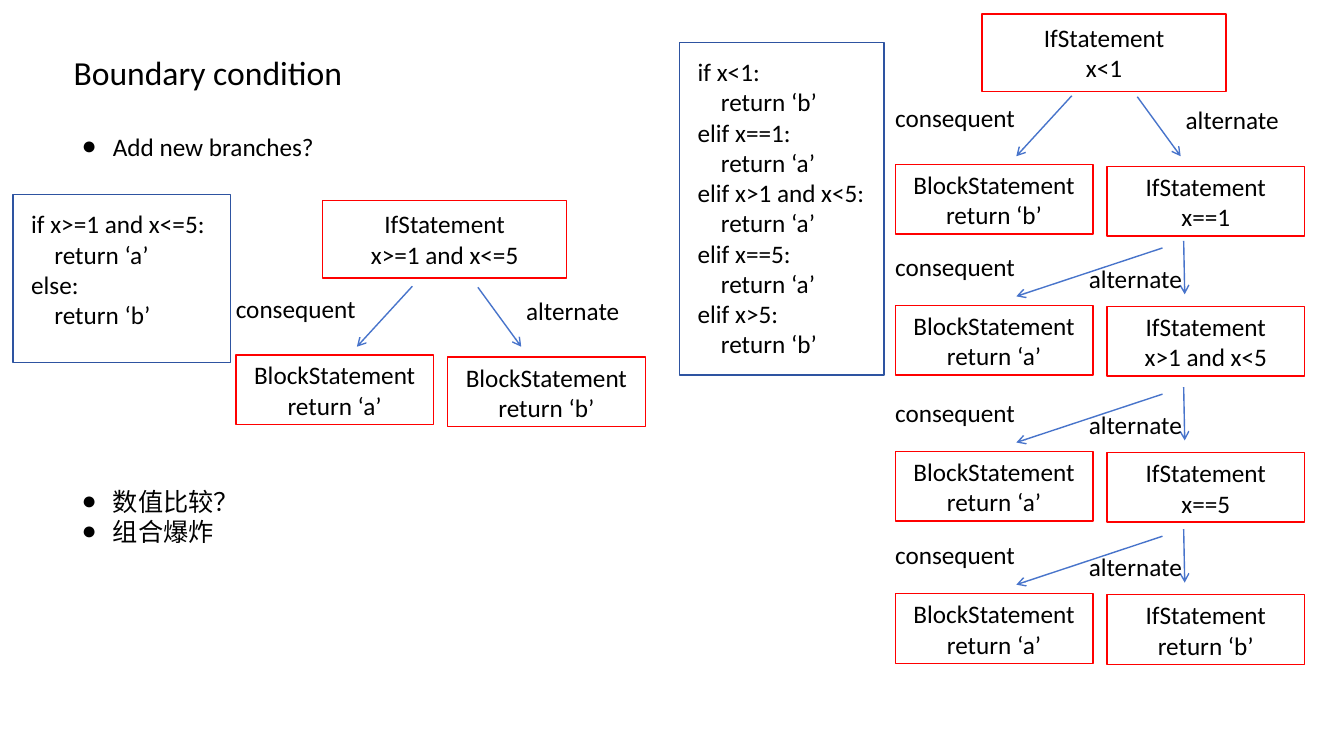
from dataclasses import dataclass
from typing import Any

from lxml import etree
from pptx import Presentation
from pptx import util as u
from pptx.dml.color import RGBColor
from pptx.enum import shapes, text
from pptx.oxml import ns

PX = 9144  # EMU per px, 100 px to the inch
COLOURS = {"ink": "000000", "code": "2E54A1", "node": "FF0000", "arrow": "4874CB"}
LEFT, CENTER = text.PP_ALIGN.LEFT, text.PP_ALIGN.CENTER
INDENT = 23
FRAME_FORMAT = {
    "word_wrap": True,
    "auto_size": text.MSO_AUTO_SIZE.NONE,
    "vertical_anchor": text.MSO_ANCHOR.TOP,
    "margin_left": 10 * PX,
    "margin_top": 5 * PX,
    "margin_right": 10 * PX,
    "margin_bottom": 5 * PX,
}
CODE_FORMAT = {"margin_left": 18 * PX, "margin_top": 14 * PX, "margin_right": 0}

Point = tuple[int, int]
Box = tuple[int, int, int, int]


@dataclass(frozen=True)
class ForkLayout:
    """Offsets from the top left corner of the consequent node."""
    consequent_label: Point
    alternate_label: Point
    alternate_node: Point
    consequent_arrow: tuple[Point, Point]
    alternate_arrow: tuple[Point, Point]


@dataclass(frozen=True)
class Fork:
    left: int
    top: int
    layout: ForkLayout
    consequent: tuple[str, str]
    alternate: tuple[str, str]


@dataclass(frozen=True)
class Root:
    left: int
    top: int
    condition: str


@dataclass(frozen=True)
class Code:
    box: Box
    lines: list[str]


@dataclass(frozen=True)
class Bullets:
    box: Box
    items: list[str]


WIDE = ForkLayout((-10, -66), (278, -64), (210, 2),
                  ((175, -68), (120, -8)), ((240, -67), (283, -8)))
NESTED = ForkLayout((-10, -59), (182, -47), (210, 1),
                    ((265, -57), (120, -9)), ((286, -64), (287, -11)))

RETURN_A = ("BlockStatement", "return ‘a’")
RETURN_B = ("BlockStatement", "return ‘b’")

ROOTS = [Root(320, 199, "x>=1 and x<=5"), Root(974, 14, "x<1")]
FORKS = [
    Fork(234, 352, WIDE, RETURN_A, RETURN_B),
    Fork(888, 163, WIDE, RETURN_B, ("IfStatement", "x==1")),
    Fork(888, 303, NESTED, RETURN_A, ("IfStatement", "x>1 and x<5")),
    Fork(888, 448, NESTED, RETURN_A, ("IfStatement", "x==5")),
    Fork(888, 589, NESTED, RETURN_A, ("IfStatement", "return ‘b’")),
]
CODES = [
    Code((13, 193, 216, 167),
         ["if x>=1 and x<=5:", "return ‘a’", "else:", "return ‘b’"]),
    Code((674, 42, 203, 330),
         ["if x<1:", "return ‘b’", "elif x==1:", "return ‘a’", "elif x>1 and x<5:",
          "return ‘a’", "elif x==5:", "return ‘a’", "elif x>5:", "return ‘b’"]),
]
BULLETS = [
    Bullets((71, 125, 266, 40), ["Add new branches?"]),
    Bullets((71, 477, 266, 71), ["数值比较？", "组合爆炸"]),
]


def colour(name: str) -> RGBColor:
    return RGBColor.from_string(COLOURS[name])


def apply_format(target: Any, values: dict[str, Any]) -> None:
    for key, value in values.items():
        setattr(target, key, value)


def place(shape: Any, box: Box) -> None:
    names = ("left", "top", "width", "height")
    apply_format(shape, {name: px * PX for name, px in zip(names, box)})


def write(frame: Any, lines: list[str] | tuple[str, ...], align: Any = LEFT,
          size: int = 18, **frame_format: Any) -> None:
    apply_format(frame, FRAME_FORMAT | frame_format)
    frame.text = "\n".join(lines)
    for paragraph in frame.paragraphs:
        apply_format(paragraph, {"alignment": align, "space_before": u.Pt(0),
                                 "line_spacing": 1.0})
        font = paragraph.runs[0].font
        apply_format(font, {"name": "Calibri", "size": u.Pt(size)})
        font.color.rgb = colour("ink")


def add_box(slide: Any, box: Box, outline: str) -> Any:
    shape = slide.shapes.add_shape(shapes.MSO_SHAPE.RECTANGLE, *(px * PX for px in box))
    shape.shadow.inherit = False
    shape.fill.background()
    shape.line.color.rgb = colour(outline)
    shape.line.width = u.Pt(1)
    return shape


def add_node(slide: Any, box: Box, lines: tuple[str, str], margin_top: int = 5) -> None:
    node = add_box(slide, box, "node")
    write(node.text_frame, lines, CENTER, margin_top=margin_top * PX)


def add_label(slide: Any, left: int, top: int, wording: str) -> None:
    label = slide.shapes.add_textbox(left * PX, top * PX, 141 * PX, 40 * PX)
    write(label.text_frame, [wording])


def add_arrow(slide: Any, start: Point, end: Point) -> None:
    arrow = slide.shapes.add_connector(
        shapes.MSO_CONNECTOR.STRAIGHT, *(px * PX for px in start + end))
    arrow.line.color.rgb = colour("arrow")
    arrow.line.width = u.Pt(1)
    head = etree.SubElement(arrow.line._get_or_add_ln(), ns.qn("a:tailEnd"))
    head.set("type", "arrow")
    etree.SubElement(arrow._element.spPr, ns.qn("a:effectLst"))


def add_fork(slide: Any, fork: Fork) -> None:
    def at(offset: Point) -> Point:
        return fork.left + offset[0], fork.top + offset[1]

    layout = fork.layout
    add_node(slide, (fork.left, fork.top, 196, 69), fork.consequent)
    add_node(slide, (*at(layout.alternate_node), 196, 69), fork.alternate)
    for start, end in (layout.consequent_arrow, layout.alternate_arrow):
        add_arrow(slide, at(start), at(end))
    add_label(slide, *at(layout.consequent_label), "consequent")
    add_label(slide, *at(layout.alternate_label), "alternate")


def add_code(slide: Any, code: Code) -> None:
    frame = add_box(slide, code.box, "code").text_frame
    write(frame, code.lines, **CODE_FORMAT)
    for paragraph in frame.paragraphs:
        if paragraph.text.startswith("return"):
            paragraph._p.get_or_add_pPr().set("marL", str(INDENT * PX))


def fill_bullets(body: Any, bullets: Bullets) -> None:
    place(body, bullets.box)
    write(body.text_frame, bullets.items)
    for paragraph in body.text_frame.paragraphs:
        properties = paragraph._p.get_or_add_pPr()
        properties.set("marL", str(31 * PX))
        properties.set("indent", str(-31 * PX))
        etree.SubElement(properties, ns.qn("a:buFont")).set("typeface", "Arial")
        etree.SubElement(properties, ns.qn("a:buChar")).set("char", "●")


def main() -> None:
    deck = Presentation()
    apply_format(deck, {"slide_width": 1333 * PX, "slide_height": 750 * PX})
    slide = deck.slides.add_slide(deck.slide_layouts.get_by_name("Two Content"))

    title, *bodies = slide.placeholders
    place(title, (63, 46, 445, 50))
    write(title.text_frame, ["Boundary condition"], size=24)
    for body, bullets in zip(bodies, BULLETS):
        fill_bullets(body, bullets)

    for code in CODES:
        add_code(slide, code)
    for root in ROOTS:
        add_node(slide, (root.left, root.top, 242, 77),
                 ("IfStatement", root.condition), margin_top=8)
    for fork in FORKS:
        add_fork(slide, fork)
    deck.save("out.pptx")


if __name__ == "__main__":
    main()
